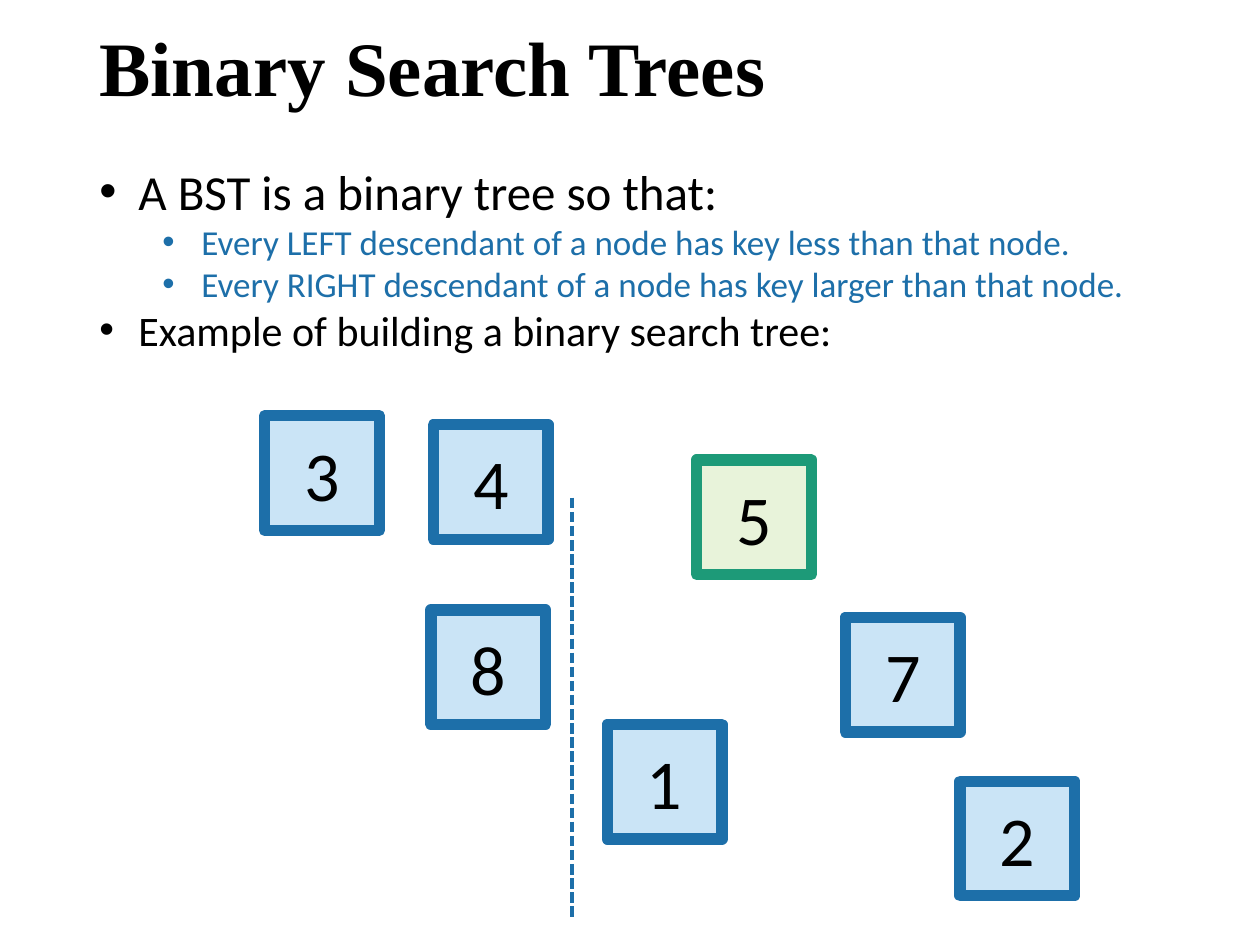
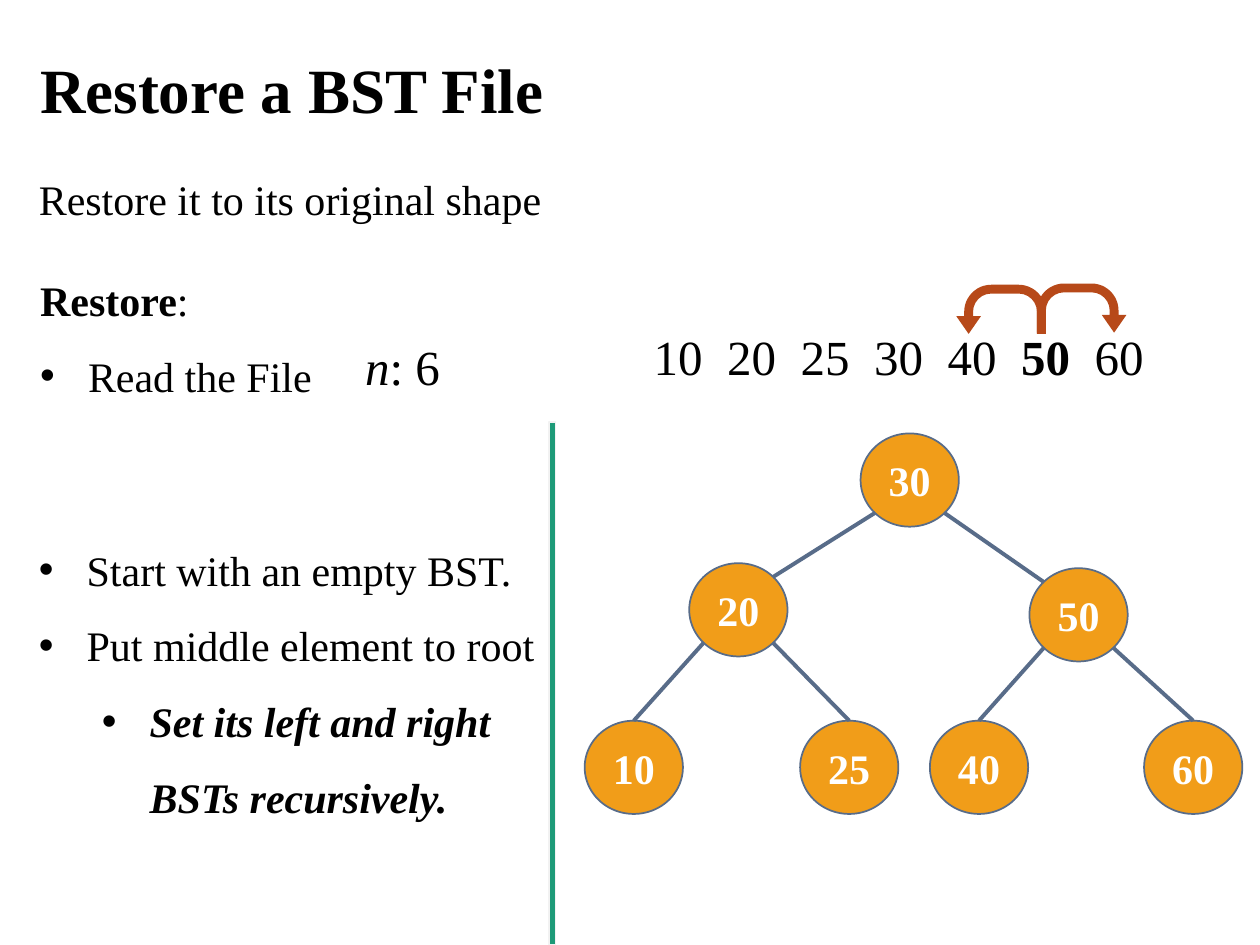
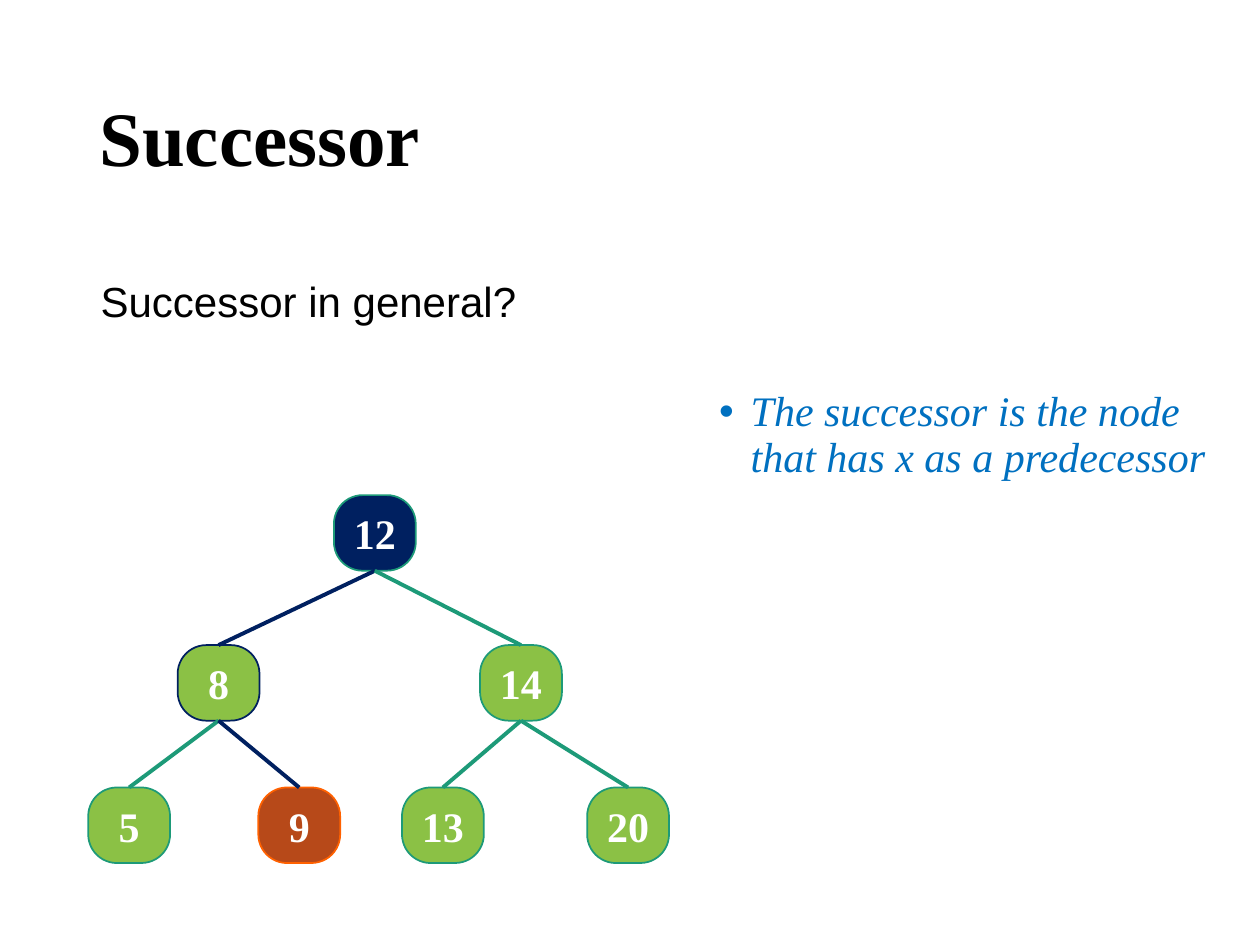
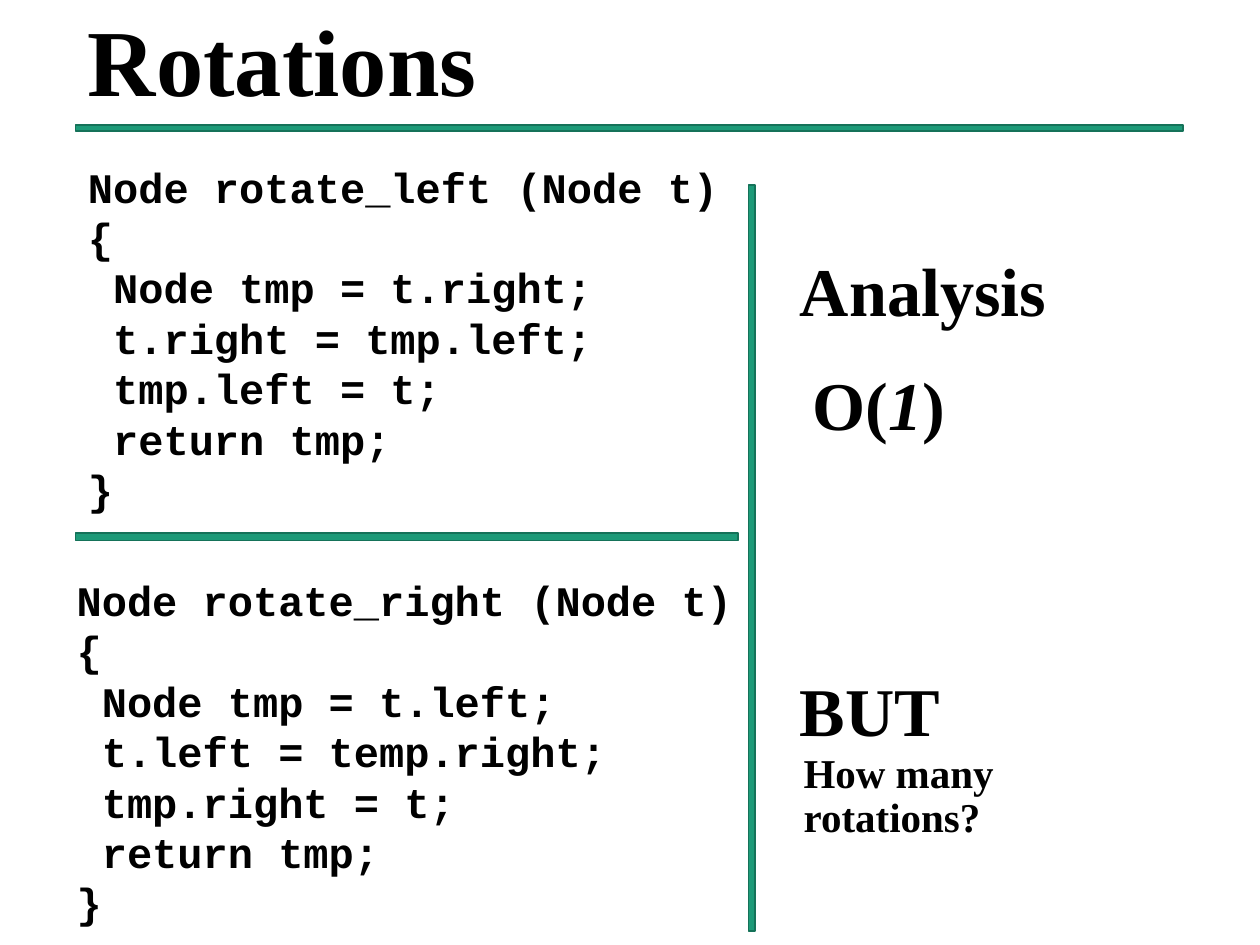
"""Build four slides on binary search trees."""
import pptx
import pptx.dml.color
import pptx.enum.dml
import pptx.enum.shapes
import pptx.enum.text
import pptx.oxml.ns
import pptx.util
from lxml import etree

BLACK, WHITE, NAVY = "000000", "FFFFFF", "002060"
BLUE, PALE_BLUE, LINK_BLUE = "1D6FA9", "CAE4F6", "0070C0"
GREEN, PALE_GREEN, DARK_GREEN, LIME = "1D9A78", "E8F3DA", "157259", "8BC145"
ORANGE, BRIGHT_ORANGE, RUST, SLATE = "F19D19", "FF6100", "B74919", "586C89"
SERIF, SANS, MONO, BODY = "Times New Roman", "Arial", "Courier New", "Calibri"
SHAPE = pptx.enum.shapes.MSO_SHAPE
MIDDLE = pptx.enum.text.MSO_ANCHOR.MIDDLE
CENTER = pptx.enum.text.PP_ALIGN.CENTER


def rgb(code):
    return pptx.dml.color.RGBColor.from_string(code)


def add_xml(parent, tag, **attributes):
    return etree.SubElement(parent, pptx.oxml.ns.qn(tag), **attributes)


def write(frame, text, size=24, font=SERIF, color=BLACK, bold=False, italic=False,
          align=None, spacing=None, level=0, margin=None, hanging=0, tabs=()):
    paragraph = frame.add_paragraph() if frame.text else frame.paragraphs[0]
    paragraph.level = level
    properties = paragraph._p.get_or_add_pPr()
    if margin:
        properties.set("marL", str(pptx.util.Inches(margin)))
        properties.set("indent", str(-pptx.util.Inches(hanging)))
        add_xml(properties, "a:buFont", typeface=SANS)
        add_xml(properties, "a:buChar", char="•")
    if tabs:
        tab_list = add_xml(properties, "a:tabLst")
        for position in tabs:
            add_xml(tab_list, "a:tab", pos=str(pptx.util.Inches(position)), algn="l")
    paragraph.alignment = align
    paragraph.line_spacing = spacing
    for words, emphasis in [(text, {})] if isinstance(text, str) else text:
        run = paragraph.add_run()
        run.text = words
        run.font.size = pptx.util.Pt(size)
        run.font.name = font
        run.font.color.rgb = rgb(color)
        run.font.bold = emphasis.get("bold", bold)
        run.font.italic = emphasis.get("italic", italic)


class Deck:
    """Hold the style and the current slide, on a grid of 100 columns and 75 rows."""

    def __init__(self):
        self.presentation = pptx.Presentation()
        self.presentation.slide_width = pptx.util.Inches(10)
        self.presentation.slide_height = pptx.util.Inches(7.5)
        self.column = self.presentation.slide_width / 100
        self.row = self.presentation.slide_height / 75
        self.slide = None

    def place(self, *lengths):
        steps = (self.column, self.row) * 2
        return [round(length * step) for length, step in zip(lengths, steps)]

    def new_slide(self, title, box, size=44):
        self.slide = self.presentation.slides.add_slide(self.presentation.slide_layouts[6])
        self.heading(title, box, size)

    def heading(self, text, box, size):
        self.text(box, [text], MIDDLE, size=size, bold=True, spacing=0.9)

    def text(self, box, paragraphs, anchor=None, **style):
        frame = self.slide.shapes.add_textbox(*self.place(*box)).text_frame
        frame.word_wrap = True
        frame.vertical_anchor = anchor
        for item in paragraphs:
            text, changes = item if isinstance(item, tuple) else (item, {})
            write(frame, text, **{**style, **changes})

    def shape(self, kind, box, fill, line=None, width=1, adjustments=(), flipped=False):
        shape = self.slide.shapes.add_shape(kind, *self.place(*box))
        shape.shadow.inherit = False
        shape.fill.solid()
        shape.fill.fore_color.rgb = rgb(fill)
        if line:
            shape.line.color.rgb = rgb(line)
            shape.line.width = pptx.util.Pt(width)
        else:
            shape.line.fill.background()
        for index, value in enumerate(adjustments):
            shape.adjustments[index] = value
        if flipped:
            shape._element.spPr.xfrm.set("flipH", "1")
        return shape

    def node(self, kind, box, label, fill, line, width=1, adjustments=(), **style):
        node = self.shape(kind, box, fill, line, width, adjustments)
        frame = node.text_frame
        frame.margin_left = frame.margin_right = frame.margin_top = frame.margin_bottom = 0
        frame.vertical_anchor = MIDDLE
        write(frame, label, align=CENTER, **style)
        return node

    def line(self, color, start=(0, 0), end=(0, 0), width=2.25, dash=None):
        connector = self.slide.shapes.add_connector(
            pptx.enum.shapes.MSO_CONNECTOR.STRAIGHT, *self.place(*start, *end))
        connector.line.color.rgb = rgb(color)
        connector.line.width = pptx.util.Pt(width)
        connector.line.dash_style = dash
        add_xml(connector._element.spPr, "a:effectLst")
        return connector


def build_definition(deck):
    deck.new_slide("Binary Search Trees", (6.9, 1.1, 86.2, 9.2))
    squares = {"4": (34.4, 33.7), "2": (76.2, 62), "8": (34.2, 48.4), "7": (67.1, 49),
               "1": (48.2, 57.5), "3": (21, 33), "5": (55.3, 36.5)}
    for key, corner in squares.items():
        fill, line = (PALE_GREEN, GREEN) if key == "5" else (PALE_BLUE, BLUE)
        deck.node(SHAPE.RECTANGLE, (*corner, 9.1, 9.1), key, fill, line, 6.5,
                  size=40, font=BODY)
    detail = {"size": 20, "color": BLUE, "level": 1, "margin": 0.81}
    deck.text((6.9, 12.3, 93.1, 16.5), [
        ("A BST is a binary tree so that:", {"size": 28}),
        ("Every LEFT descendant of a node has key less than that node.", detail),
        ("Every RIGHT descendant of a node has key larger than that node.", detail),
        "Example of building a binary search tree:",
    ], font=BODY, margin=0.31, hanging=0.31)
    deck.line(BLUE, (45.4, 39.5), (45.4, 72.8), 2, pptx.enum.dml.MSO_LINE.SQUARE_DOT)


def build_restore(deck):
    deck.new_slide("Restore a BST File", (2.2, 3.6, 90.9, 7.5), 36)
    deck.text((2.1, 12.3, 44.3, 7.5), ["Restore it to its original shape"], MIDDLE,
              spacing=0.9)
    keys = deck.shape(SHAPE.RECTANGLE, (50.9, 25.4, 41.4, 5.7), WHITE)
    keys.text_frame.vertical_anchor = pptx.enum.text.MSO_ANCHOR.TOP
    write(keys.text_frame,
          [("10\t20\t25\t30\t40\t", {}), ("50", {"bold": True}), ("\t60", {})],
          size=28, align=pptx.enum.text.PP_ALIGN.LEFT,
          tabs=[7 / 12 * stop for stop in range(1, 7)])
    deck.shape(SHAPE.RECTANGLE, (43.6, 33.5, 0.5, 41.5), GREEN, "F2F2F2")
    bullet = {"margin": 0.38, "hanging": 0.38}
    deck.text((2.2, 19.3, 40.9, 12.4), [
        [("Restore", {"bold": True}), (":", {})],
        ("Read the File", bullet),
    ], spacing=1.5)
    deck.text((28, 26.2, 9.5, 5.7), [[("n", {"italic": True}), (": 6", {})]], size=28)
    deck.text((2.1, 40.7, 41.4, 24.5), [
        "Start with an empty BST.",
        "Put middle element to root",
        ("Set its left and right BSTs recursively.",
         {"level": 1, "margin": 0.88, "bold": True, "italic": True}),
    ], spacing=1.5, **bullet)

    width, height = 7.8, 7.4
    corners = {"30": (68.3, 34.4), "20": (54.7, 44.7), "50": (81.7, 45.1),
               "10": (46.4, 57.2), "25": (63.5, 57.2), "40": (73.8, 57.2),
               "60": (90.8, 57.2)}
    nodes = {key: deck.node(SHAPE.OVAL, (*corner, width, height), key, ORANGE, SLATE,
                            color=WHITE, bold=True)
             for key, corner in corners.items()}

    def rim(key, side, end):
        left, top = corners[key]
        return left + width * (0.5 + 0.35 * side), top + height * (0.5 + 0.35 * end)

    for parent, children in {"30": ("20", "50"), "20": ("10", "25"),
                             "50": ("40", "60")}.items():
        for side, child in zip((-1, 1), children):
            edge = deck.line(SLATE, rim(parent, side, 1), rim(child, -side, -1))
            if parent != "30":
                edge.end_connect(nodes[child], 0)
    for left, top, flipped in ((82.3, 22.5, False), (75.9, 22.6, True)):
        deck.shape(SHAPE.U_TURN_ARROW, (left, top, 7.1, 3.9), RUST,
                   adjustments=(0.18, 0.25, 0.36, 0.55, 1), flipped=flipped)


def build_successor(deck):
    deck.new_slide("Successor", (6.9, 4, 86.2, 14.5))
    deck.text((7, 21.4, 40.8, 5), ["Successor in general?"], font=SANS)
    root, inner, leaf = 39.3, 51.2, 62.5
    places = {"12": (26.5, root), "8": (14.1, inner), "14": (38.1, inner),
              "20": (46.6, leaf), "13": (31.9, leaf), "9": (20.5, leaf), "5": (7, leaf)}
    colors = {"12": (NAVY, GREEN), "8": (LIME, NAVY), "9": (RUST, BRIGHT_ORANGE)}
    nodes = {key: deck.node(SHAPE.ROUNDED_RECTANGLE, (*corner, 6.5, 6), key,
                            *colors.get(key, (LIME, GREEN)), adjustments=(0.38,),
                            color=WHITE, bold=True)
             for key, corner in places.items()}
    edges = {("12", "8"): NAVY, ("12", "14"): GREEN, ("14", "13"): GREEN,
             ("14", "20"): GREEN, ("8", "5"): GREEN, ("8", "9"): NAVY}
    for (parent, child), color in edges.items():
        edge = deck.line(color)
        edge.begin_connect(nodes[parent], 2)
        edge.end_connect(nodes[child], 0)
    deck.text((56.1, 30.5, 40.6, 10.9),
              ["The successor is the node that has x as a predecessor"],
              color=LINK_BLUE, italic=True, spacing=0.9, margin=0.25, hanging=0.25)


def build_rotations(deck):
    deck.new_slide("Rotations", (6, 0.7, 88.3, 9), 54)
    for bar in ((6, 9.9, 87.9, 0.5), (59.4, 14.7, 0.5, 59.2), (6, 42.3, 52.6, 0.6)):
        deck.shape(SHAPE.RECTANGLE, bar, GREEN, DARK_GREEN)
    rotations = {
        (6, 12.3): ["Node rotate_left (Node t)", "{", " Node tmp = t.right;",
                    " t.right = tmp.left;", " tmp.left = t;", " return tmp;", "}"],
        (5.1, 45.1): ["Node rotate_right (Node t)", "{", " Node tmp = t.left;",
                      " t.left = temp.right;", " tmp.right = t;", " return tmp;", "}"],
    }
    for corner, code in rotations.items():
        deck.text((*corner, 57.4, 29.3), code, font=MONO, bold=True)
    deck.heading("Analysis", (62.5, 18.9, 30.7, 9), 39)
    deck.heading([("O(", {}), ("1", {"italic": True}), (")", {})],
                 (63.5, 27.9, 30.7, 9), 39)
    deck.heading("BUT", (62.5, 52.2, 35.5, 9), 39)
    deck.heading("How many rotations?", (62.8, 58.8, 22, 9), 23.4)


def main():
    deck = Deck()
    for build in (build_definition, build_restore, build_successor, build_rotations):
        build(deck)
    deck.presentation.save("out.pptx")


if __name__ == "__main__":
    main()
